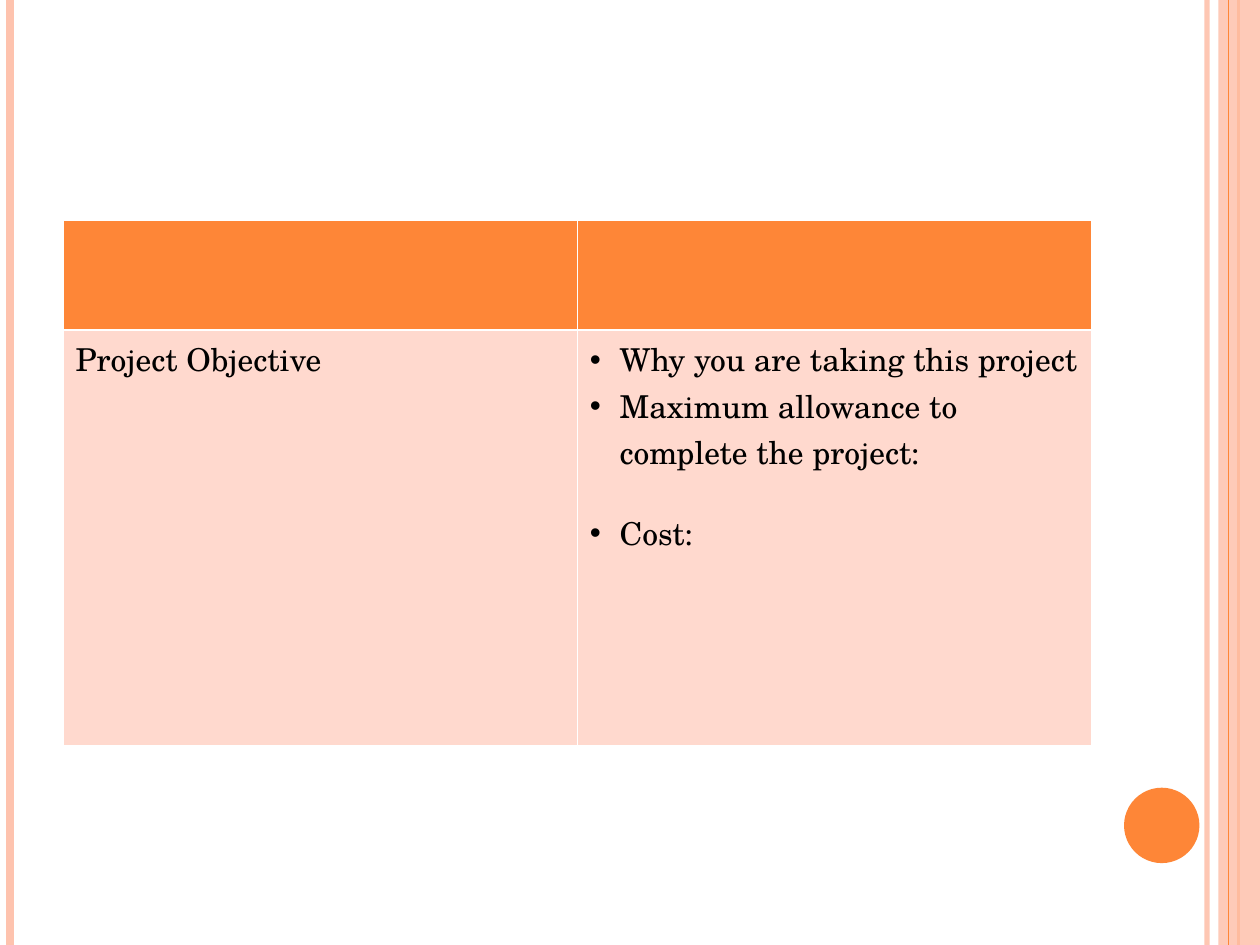
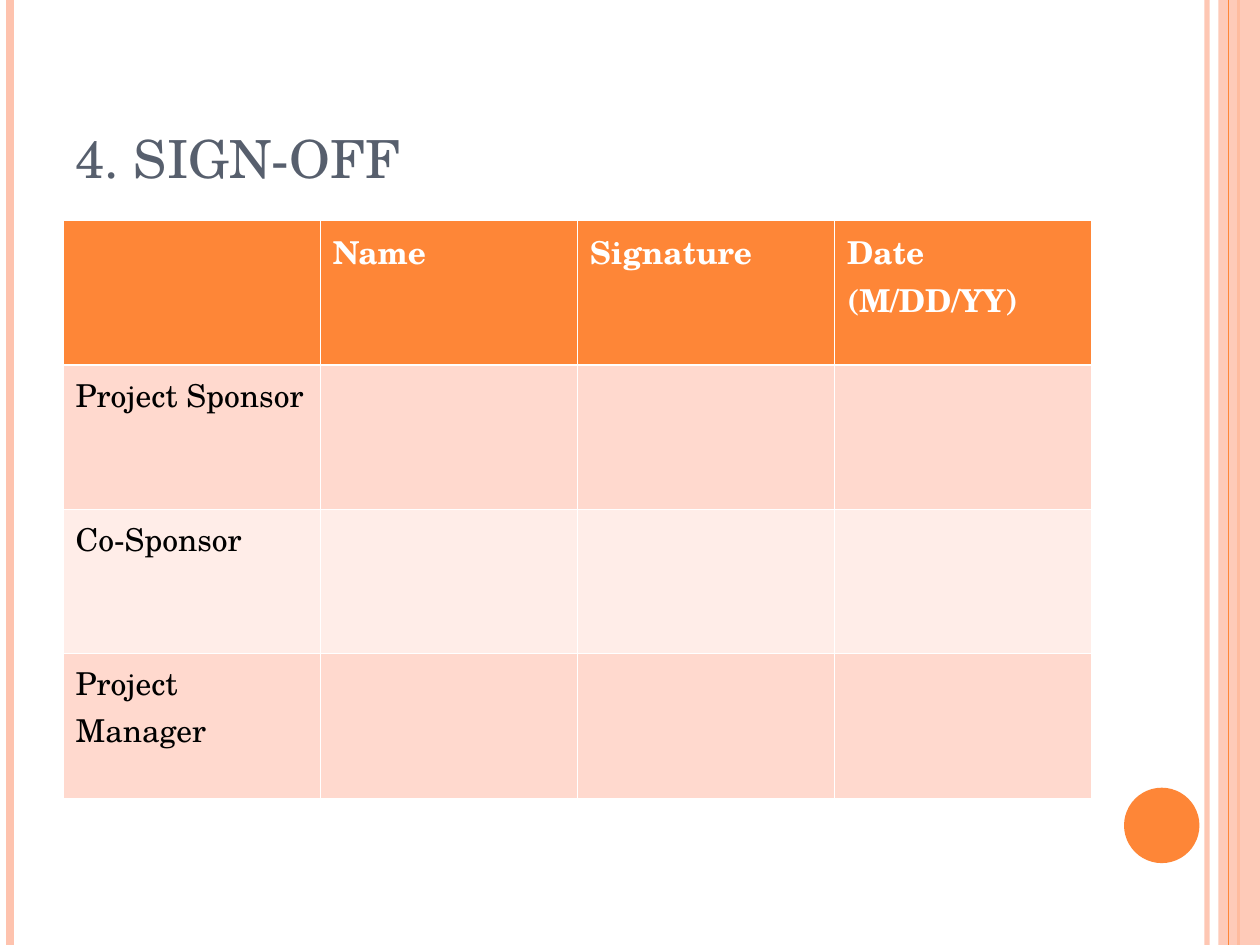
from lxml.etree import SubElement
from pptx import Presentation
from pptx.dml.color import RGBColor
from pptx.enum.shapes import MSO_CONNECTOR, MSO_SHAPE
from pptx.enum.text import MSO_ANCHOR, MSO_AUTO_SIZE, PP_ALIGN
from pptx.oxml.ns import qn
from pptx.util import Cm, Pt

# Shared style
FONT = "TeX Gyre Schola"
ORANGE = RGBColor(0xFE, 0x86, 0x37)
PEACH = RGBColor(0xFE, 0xC3, 0xAE)
ROW_DARK = RGBColor(0xFF, 0xD9, 0xCE)
ROW_LIGHT = RGBColor(0xFF, 0xED, 0xE8)
SLATE = RGBColor(0x57, 0x5F, 0x6D)
BLACK = RGBColor(0, 0, 0)
WHITE = RGBColor(0xFF, 0xFF, 0xFF)

SLIDE_WIDTH, SLIDE_HEIGHT = 25.4, 19.05
LEFT, CONTENT_WIDTH = 1.27, 20.74
TITLE_TOP, TITLE_HEIGHT = 0.76, 3.18
TABLE_TOP = 4.45
BULLET_INDENT = 0.6
THIN, THICK = Pt(0.5), Pt(1.5)
TITLE_ONLY, BLANK = 5, 6

# Content: a list in a cell becomes bullets, each with its space before in points
SLIDES = [
    {
        "title": None,
        "row_heights": [2.2, 8.38],
        "rows": [
            ["", ""],
            ["Project Objective", [
                ("Why you are taking this project", 0),
                ("Maximum allowance to complete the project:", 0),
                ("Cost:", 20),
            ]],
        ],
    },
    {
        "title": "4. SIGN-OFF",
        "row_heights": [2.91] * 4,
        "rows": [
            ["", "Name", "Signature", "Date (M/DD/YY)"],
            ["Project Sponsor", "", "", ""],
            ["Co-Sponsor", "", "", ""],
            ["Project Manager", "", "", ""],
        ],
    },
]

# Side bands: x, width in points, colour, opacity in percent
OUTER_LINES = [
    (24.33, 3, PEACH, 93),
    (0.21, 4.5, PEACH, 100),
    (24.97, 1.5, ORANGE, 100),
]
INNER_LINE = (24.77, 0.75, ORANGE, 100)
BAND_LEFT, BAND_OPACITY = 24.56, 87
DISC_LEFT, DISC_TOP, DISC_SIZE = 22.66, 15.88, 1.52


def set_opacity(shape, percent):
    for color in shape.element.spPr.iter(qn("a:srgbClr")):
        SubElement(color, qn("a:alpha"), val=str(percent * 1000))


def add_vertical_line(slide, x, width, color, opacity):
    line = slide.shapes.add_connector(
        MSO_CONNECTOR.STRAIGHT, Cm(x), 0, Cm(x), Cm(SLIDE_HEIGHT))
    line.line.color.rgb = color
    line.line.width = Pt(width)
    if opacity < 100:
        set_opacity(line, opacity)
    SubElement(line.element.spPr, qn("a:effectLst"))


def add_filled_shape(slide, kind, left, top, width, height, color):
    shape = slide.shapes.add_shape(kind, Cm(left), Cm(top), Cm(width), Cm(height))
    shape.shadow.inherit = False
    shape.fill.solid()
    shape.fill.fore_color.rgb = color
    shape.line.fill.background()
    return shape


def add_decoration(slide):
    for line in OUTER_LINES:
        add_vertical_line(slide, *line)
    band = add_filled_shape(slide, MSO_SHAPE.RECTANGLE, BAND_LEFT, 0,
                            SLIDE_WIDTH - BAND_LEFT, SLIDE_HEIGHT, PEACH)
    set_opacity(band, BAND_OPACITY)
    add_vertical_line(slide, *INNER_LINE)
    add_filled_shape(slide, MSO_SHAPE.OVAL, DISC_LEFT, DISC_TOP,
                     DISC_SIZE, DISC_SIZE, ORANGE)


def format_runs(paragraph, size, color, bold=False):
    for run in paragraph.runs:
        run.font.name = FONT
        run.font.size = Pt(size)
        run.font.bold = bold
        run.font.color.rgb = color


def add_title(slide, text):
    title = slide.shapes.title
    title.left, title.top = Cm(LEFT), Cm(TITLE_TOP)
    title.width, title.height = Cm(CONTENT_WIDTH), Cm(TITLE_HEIGHT)
    frame = title.text_frame
    frame.text = text
    frame.auto_size = MSO_AUTO_SIZE.NONE
    frame.vertical_anchor = MSO_ANCHOR.BOTTOM
    frame.paragraphs[0].alignment = PP_ALIGN.LEFT
    format_runs(frame.paragraphs[0], 30, SLATE)


def add_bullet(paragraph):
    properties = paragraph._p.get_or_add_pPr()
    indent = Cm(BULLET_INDENT)
    properties.set("marL", str(indent))
    properties.set("indent", str(-indent))
    SubElement(SubElement(properties, qn("a:buClr")), qn("a:srgbClr"), val=str(BLACK))
    SubElement(properties, qn("a:buFont"), typeface="Arial")
    SubElement(properties, qn("a:buChar"), char="•")


def set_borders(cell, top, bottom):
    properties = cell._tc.get_or_add_tcPr()
    widths = {"lnL": THIN, "lnR": THIN, "lnT": top, "lnB": bottom}
    for position, (side, width) in enumerate(widths.items()):
        border = SubElement(properties, qn(f"a:{side}"), w=str(width))
        SubElement(SubElement(border, qn("a:solidFill")), qn("a:srgbClr"), val=str(WHITE))
        properties.insert(position, border)


def fill_cell(cell, content, row_number):
    is_header = row_number == 0
    cell.fill.solid()
    cell.fill.fore_color.rgb = (
        ORANGE if is_header else ROW_DARK if row_number % 2 else ROW_LIGHT)
    set_borders(cell, top=THICK if row_number == 1 else THIN,
                bottom=THICK if is_header else THIN)
    frame = cell.text_frame
    if isinstance(content, str):
        frame.text = content
    else:
        frame.text = "\n".join(text for text, _ in content)
        for paragraph, (_, space) in zip(frame.paragraphs, content):
            add_bullet(paragraph)
            if space:
                paragraph.space_before = Pt(space)
    for paragraph in frame.paragraphs:
        format_runs(paragraph, 18, WHITE if is_header else BLACK, is_header)


def add_table(slide, rows, row_heights):
    column_count = len(rows[0])
    table = slide.shapes.add_table(
        len(rows), column_count, Cm(LEFT), Cm(TABLE_TOP),
        Cm(CONTENT_WIDTH), Cm(sum(row_heights))).table
    for column in table.columns:
        column.width = Cm(CONTENT_WIDTH / column_count)
    for row_number, (contents, height) in enumerate(zip(rows, row_heights)):
        table.rows[row_number].height = Cm(height)
        for column_number, content in enumerate(contents):
            fill_cell(table.cell(row_number, column_number), content, row_number)


def main():
    presentation = Presentation()
    presentation.slide_width = Cm(SLIDE_WIDTH)
    presentation.slide_height = Cm(SLIDE_HEIGHT)
    for content in SLIDES:
        layout = TITLE_ONLY if content["title"] else BLANK
        slide = presentation.slides.add_slide(presentation.slide_layouts[layout])
        add_decoration(slide)
        if content["title"]:
            add_title(slide, content["title"])
        add_table(slide, content["rows"], content["row_heights"])
    presentation.save("out.pptx")


if __name__ == "__main__":
    main()
